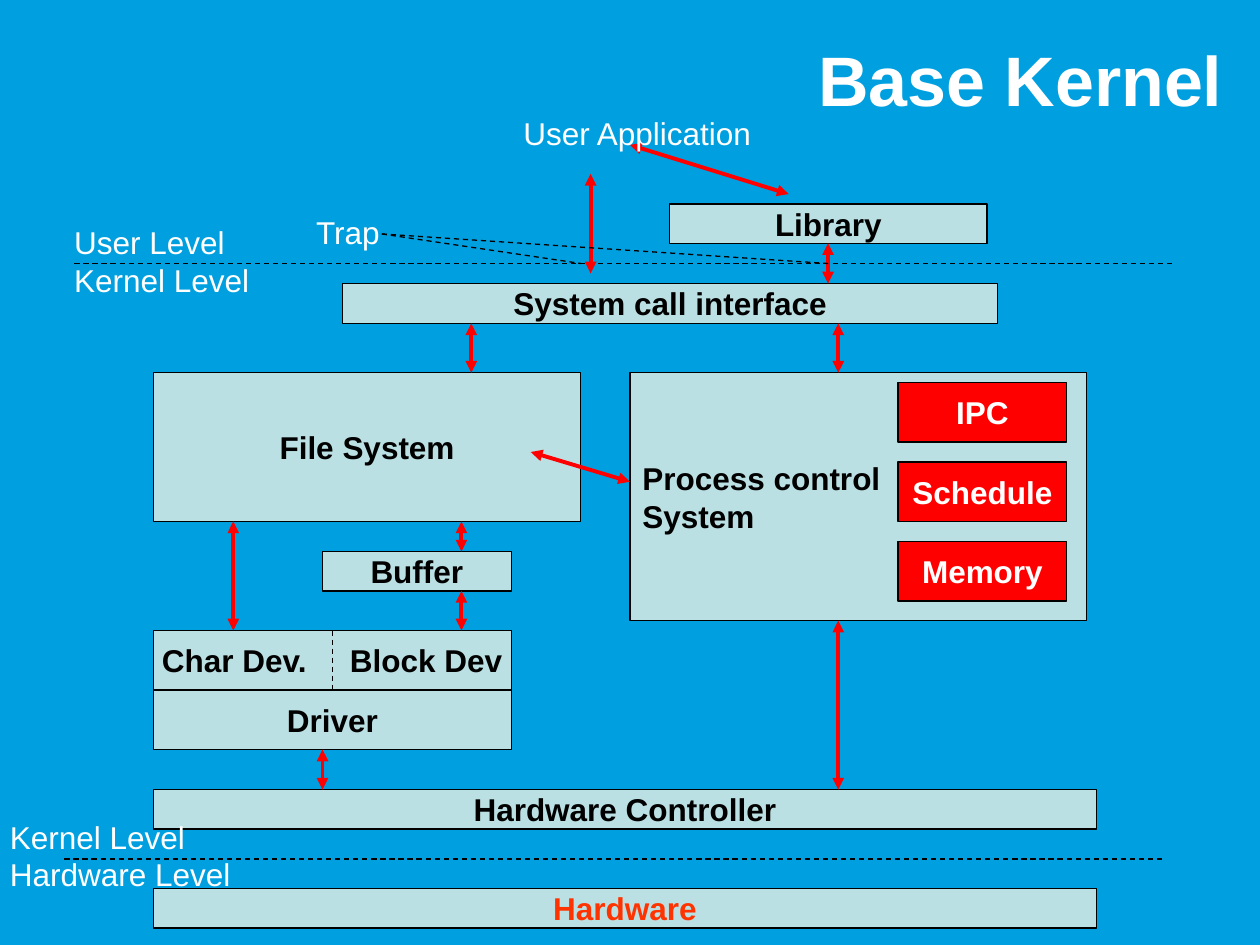
from dataclasses import dataclass

from lxml import etree
from pptx import Presentation
from pptx.dml.color import RGBColor
from pptx.enum import dml, shapes, text
from pptx.oxml import ns
from pptx.util import Pt


@dataclass(frozen=True)
class Theme:
    """Colours, font and sizes of the slide."""
    back: RGBColor = RGBColor(0x00, 0xA0, 0xE0)
    box: RGBColor = RGBColor(0xBB, 0xE0, 0xE3)
    red: RGBColor = RGBColor(0xFF, 0x00, 0x00)
    orange: RGBColor = RGBColor(0xFF, 0x33, 0x00)
    black: RGBColor = RGBColor(0x00, 0x00, 0x00)
    white: RGBColor = RGBColor(0xFF, 0xFF, 0xFF)
    font: str = "Arial"
    title: int = 40
    body: int = 18
    thin: float = 0.75
    thick: float = 2.25


T = Theme()
LEFT, CENTER, RIGHT = text.PP_ALIGN.LEFT, text.PP_ALIGN.CENTER, text.PP_ALIGN.RIGHT


def add_text(tf, lines, color, size=T.body, bold=False, align=LEFT):
    """Write one paragraph per line into a text frame."""
    for i, line in enumerate(lines):
        p = tf.add_paragraph() if i else tf.paragraphs[0]
        p.alignment = align
        r = p.add_run()
        r.text = line
        r.font.name, r.font.size, r.font.bold = T.font, Pt(size), bold
        r.font.color.rgb = color


def add_box(s, x, y, w, h, *lines, fill=T.box, color=T.black, align=CENTER):
    """Add an outlined box with bold text and return it."""
    sp = s.shapes.add_shape(shapes.MSO_SHAPE.RECTANGLE, Pt(x), Pt(y), Pt(w), Pt(h))
    sp.shadow.inherit = False
    sp.fill.solid()
    sp.fill.fore_color.rgb = fill
    sp.line.color.rgb = T.black
    sp.line.width = Pt(T.thin)
    tf = sp.text_frame
    tf.word_wrap = False
    tf.vertical_anchor = text.MSO_ANCHOR.MIDDLE
    add_text(tf, lines, color, bold=True, align=align)
    return sp


def add_split_box(s, x, y, w, h, first, second, tab):
    """Add a box whose two words are set apart by a tab stop."""
    sp = add_box(s, x, y, w, h, f"{first}\t{second}", align=LEFT)
    tf = sp.text_frame
    tf.margin_left, tf.margin_right = Pt(4.8), 0
    pPr = tf.paragraphs[0]._p.get_or_add_pPr()
    tabs = etree.SubElement(pPr, ns.qn("a:tabLst"))
    etree.SubElement(tabs, ns.qn("a:tab"), pos=str(Pt(tab)), algn="l")


def add_label(s, x, y, w, h, *lines):
    """Add plain white text."""
    tf = s.shapes.add_textbox(Pt(x), Pt(y), Pt(w), Pt(h)).text_frame
    tf.word_wrap = False
    add_text(tf, lines, T.white)


def add_title(s, title):
    """Add the right-aligned slide title."""
    tf = s.shapes.add_textbox(0, 0, Pt(705.6), Pt(90)).text_frame
    tf.word_wrap = True
    tf.vertical_anchor = text.MSO_ANCHOR.MIDDLE
    add_text(tf, [title], T.white, T.title, True, RIGHT)


def add_line(s, x1, y1, x2, y2, color, width):
    """Add a straight line without shadow and return it."""
    c = s.shapes.add_connector(shapes.MSO_CONNECTOR.STRAIGHT, Pt(x1), Pt(y1), Pt(x2), Pt(y2))
    c.line.color.rgb = color
    c.line.width = Pt(width)
    etree.SubElement(c._element.spPr, ns.qn("a:effectLst"))
    return c


def add_dashed(s, x1, y1, x2, y2):
    """Add a thin dashed line."""
    add_line(s, x1, y1, x2, y2, T.black, T.thin).line.dash_style = dml.MSO_LINE.DASH


def add_arrow(s, x1, y1, x2, y2):
    """Add a red arrow with a head at each end."""
    ln = add_line(s, x1, y1, x2, y2, T.red, T.thick).line._get_or_add_ln()
    for end in ("a:headEnd", "a:tailEnd"):
        etree.SubElement(ln, ns.qn(end), type="triangle")


def add_boxes(s):
    """Add the blocks of the kernel."""
    left, wide, dev = 87.8, 538.6, 204.5
    add_box(s, 382.7, 116.6, 181.4, 22.5, "Library")
    add_box(s, 195.8, 162, 374.4, 22.7, "System call interface")
    add_box(s, left, 213, 244, 85, "File System")
    add_box(s, 360, 213, 260.8, 141.7, "Process control", "System", align=LEFT)
    add_box(s, 184.3, 315.2, 107.9, 22.5, "Buffer")
    add_split_box(s, left, 360.3, dev, 34, "Char Dev.", "Block Dev", 107.4)
    add_box(s, left, 394.3, dev, 34, "Driver")
    add_box(s, left, 451.2, wide, 22.5, "Hardware Controller")
    add_box(s, left, 507.8, wide, 22.5, "Hardware", color=T.orange)
    for i, name in enumerate(("IPC", "Schedule", "Memory")):
        add_box(s, 513.2, 218.6 + 45.4 * i, 96.4, 34, name, fill=T.red, color=T.white)


def add_lines(s):
    """Add the level borders and the arrows between blocks."""
    add_dashed(s, 42.5, 150.6, 671.8, 150.6)
    add_dashed(s, 36.8, 490.8, 666, 490.8)
    add_dashed(s, 190, 360.3, 190, 394.3)
    for x, top, bottom in (
        (473.2, 139, 162), (479, 184.8, 213), (269.3, 184.8, 213),
        (263.7, 298, 315.2), (263.7, 337.7, 360.3), (133.3, 298, 360.3),
        (184.3, 428.3, 451.2), (479, 354.7, 451.2), (337.5, 99.3, 156.3),
    ):
        add_arrow(s, x, top, x, bottom)
    add_arrow(s, 360, 82.8, 450.7, 110.9)
    add_arrow(s, 303.3, 258.3, 360, 275.3)
    for x in (332, 473.2):
        add_dashed(s, 218.2, 133.7, x, 150.6)


def add_labels(s):
    """Add the free labels."""
    add_label(s, 292, 61.5, 145.4, 28.8, "User Application")
    add_label(s, 35.3, 123.8, 114.5, 50.4, "User Level", "Kernel Level")
    add_label(s, -1.4, 463.7, 140.4, 50.4, "Kernel Level", "Hardware Level")
    add_label(s, 173.5, 118.1, 51.1, 28.8, "Trap")


def main():
    """Build and save the slide."""
    prs = Presentation()
    prs.slide_width, prs.slide_height = Pt(720), Pt(540)
    s = prs.slides.add_slide(prs.slide_layouts[6])
    s.background.fill.solid()
    s.background.fill.fore_color.rgb = T.back
    add_title(s, "Base Kernel")
    add_boxes(s)
    add_lines(s)
    add_labels(s)
    prs.save("out.pptx")


if __name__ == "__main__":
    main()
